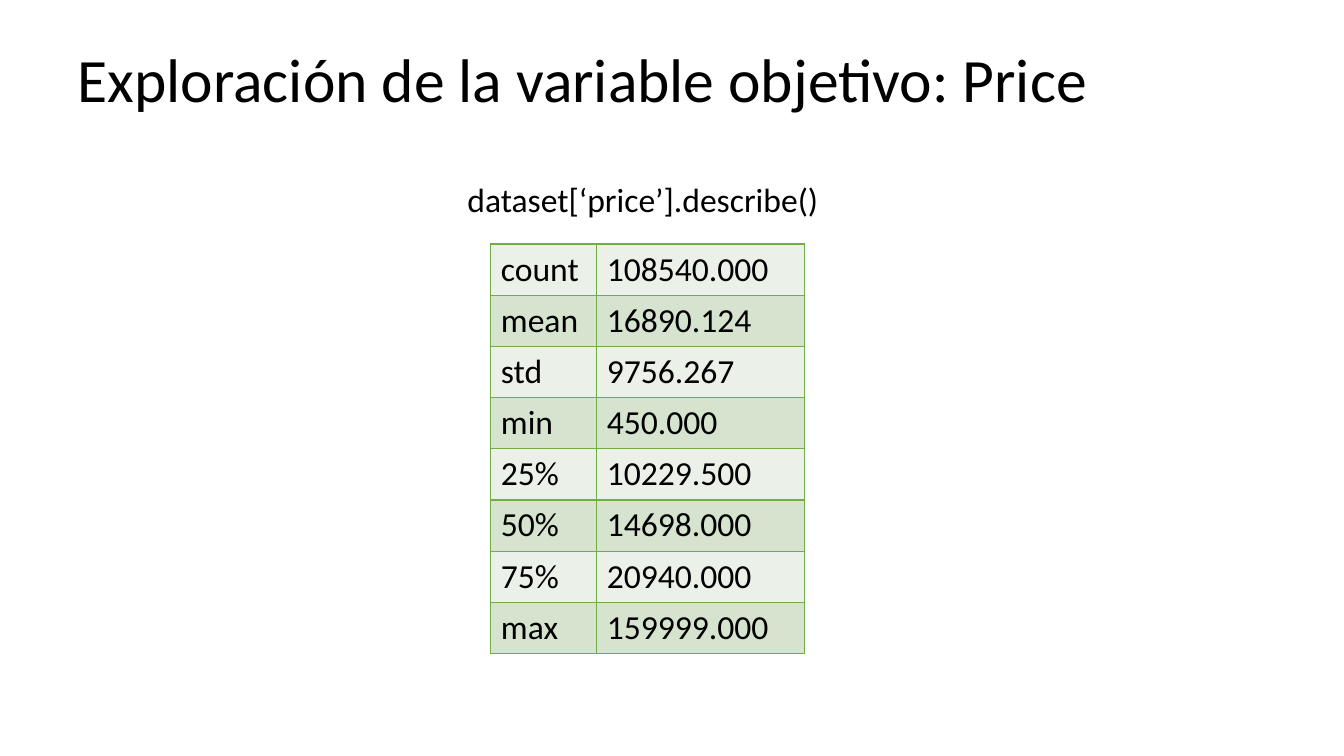
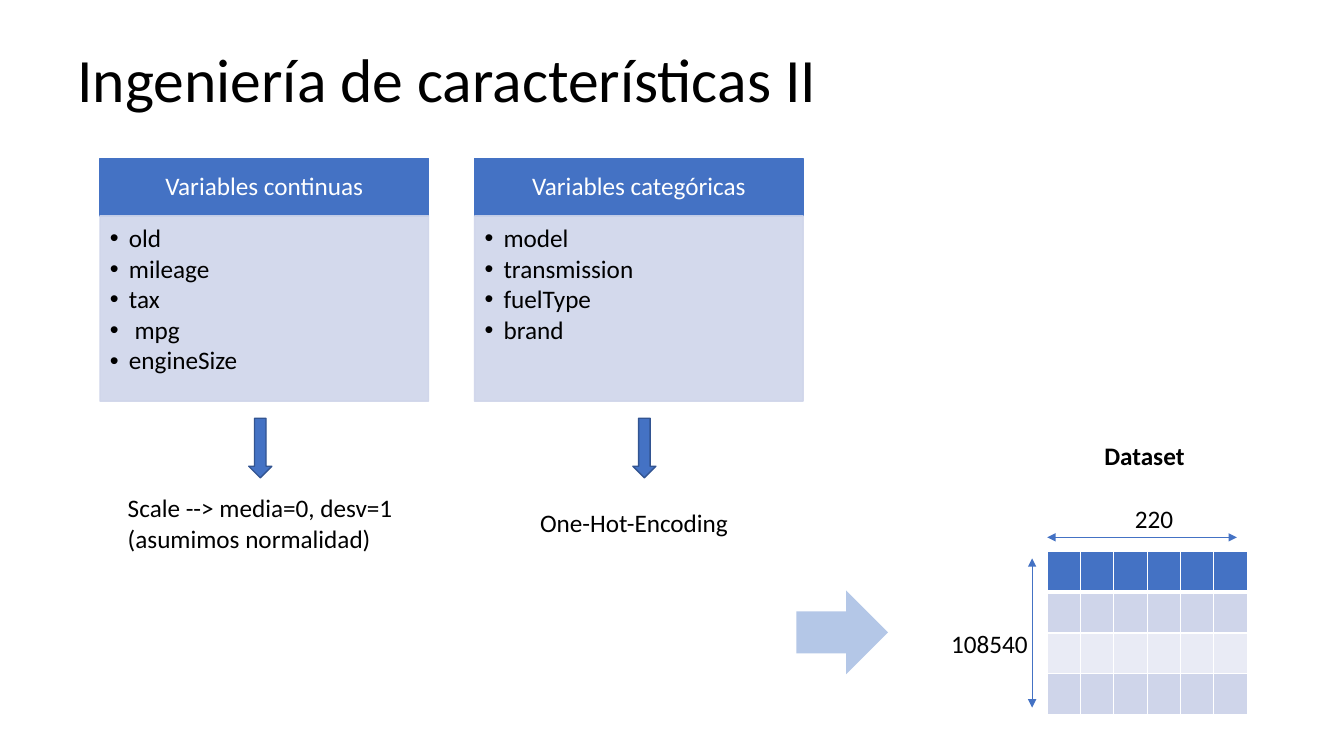
from dataclasses import dataclass

from lxml import etree
from pptx import Presentation
from pptx.dml.color import RGBColor
from pptx.enum.shapes import MSO_CONNECTOR, MSO_SHAPE
from pptx.enum.text import MSO_ANCHOR, MSO_AUTO_SIZE, PP_ALIGN
from pptx.oxml.ns import qn
from pptx.shapes.autoshape import Shape
from pptx.slide import Slide
from pptx.table import Table, _Cell
from pptx.text.text import TextFrame
from pptx.util import Cm, Pt

FONT = "Calibri"
BLACK = RGBColor(0x00, 0x00, 0x00)
WHITE = RGBColor(0xFF, 0xFF, 0xFF)
BLUE = RGBColor(0x44, 0x72, 0xC4)
DARK_BLUE = RGBColor(0x32, 0x54, 0x91)
SOFT_BLUE = RGBColor(0xB4, 0xC7, 0xE7)
PALE_BLUE = RGBColor(0xCF, 0xD5, 0xEA)
FAINT_BLUE = RGBColor(0xE9, 0xEB, 0xF5)
GREEN = RGBColor(0x70, 0xAD, 0x47)
PALE_GREEN = RGBColor(0xD5, 0xE3, 0xCF)
FAINT_GREEN = RGBColor(0xEB, 0xF1, 0xE9)

LEFT, CENTER = PP_ALIGN.LEFT, PP_ALIGN.CENTER
TOP, MIDDLE = MSO_ANCHOR.TOP, MSO_ANCHOR.MIDDLE
FIXED = MSO_AUTO_SIZE.NONE
DOWN_ARROW, RIGHT_ARROW = MSO_SHAPE.DOWN_ARROW, MSO_SHAPE.RIGHT_ARROW
STRAIGHT = MSO_CONNECTOR.STRAIGHT

TITLE_ONLY, COMPARISON = 5, 4
PANEL_TOP, PANEL_WIDTH = 3.99, 8.28
HEADER_HEIGHT, LIST_HEIGHT = 1.45, 4.67


@dataclass(frozen=True)
class Box:
    left: float
    top: float
    width: float
    height: float


@dataclass(frozen=True)
class Label:
    text: str
    box: Box
    size: int = 18
    bold: bool = False


@dataclass(frozen=True)
class VariableGroup:
    heading: str
    variables: tuple[str, ...]
    left: float
    arrow_left: float
    header_idx: int
    list_idx: int


TITLE_BOX = Box(1.7, 0.25, 29.21, 3.68)

PRICE_STATISTICS = (
    ("count", "108540.000"),
    ("mean", "16890.124"),
    ("std", "9756.267"),
    ("min", "450.000"),
    ("25%", "10229.500"),
    ("50%", "14698.000"),
    ("75%", "20940.000"),
    ("max", "159999.000"),
)

VARIABLE_GROUPS = (
    VariableGroup("Variables continuas",
                  ("old", "mileage", "tax", " mpg", "engineSize"),
                  2.52, 6.27, 1, 2),
    VariableGroup("Variables categóricas",
                  ("model", "transmission", "fuelType", "brand"),
                  11.96, 15.95, 3, 4),
)

DESCRIBE_CALL = Label("dataset[‘price’].describe()", Box(11.53, 4.39, 9.53, 1.27), 24)
FEATURE_LABELS = (
    Label("One-Hot-Encoding", Box(13.36, 12.67, 5.79, 1.02)),
    Label("Scale --> media=0, desv=1\n(asumimos normalidad)", Box(2.97, 12.29, 7.5, 1.8)),
    Label("108540", Box(23.72, 15.7, 2.62, 1.02)),
    Label("220", Box(28.35, 12.55, 1.75, 1.02)),
    Label("Dataset", Box(27.58, 10.97, 2.64, 1.07), bold=True),
)


def place(shape: Shape, box: Box) -> None:
    shape.left, shape.top = Cm(box.left), Cm(box.top)
    shape.width, shape.height = Cm(box.width), Cm(box.height)


def write(frame: TextFrame, text: str, size: int, color: RGBColor = BLACK,
          align: PP_ALIGN = LEFT, anchor: MSO_ANCHOR = TOP, bold: bool = False,
          line_spacing: float = 1.0, space_after: float = 0) -> None:
    frame.text = text
    frame.word_wrap = True
    frame.auto_size = FIXED
    frame.vertical_anchor = anchor
    for paragraph in frame.paragraphs:
        paragraph.alignment = align
        paragraph.line_spacing = line_spacing
        paragraph.space_before = Pt(0)
        paragraph.space_after = Pt(space_after)
        font = paragraph.font
        font.name, font.size, font.bold = FONT, Pt(size), bold
        font.color.rgb = color


def paint(shape: Shape, fill: RGBColor, line: RGBColor | None) -> None:
    shape.fill.solid()
    shape.fill.fore_color.rgb = fill
    if line is None:
        shape.line.fill.background()
    else:
        shape.line.color.rgb = line
        shape.line.width = Pt(1)


def start_slide(deck: Presentation, layout: int, title: str) -> Slide:
    slide = deck.slides.add_slide(deck.slide_layouts[layout])
    heading = slide.shapes.title
    place(heading, TITLE_BOX)
    write(heading.text_frame, title, 44, anchor=MIDDLE, line_spacing=0.9)
    return slide


def add_label(slide: Slide, label: Label) -> None:
    box = label.box
    caption = slide.shapes.add_textbox(
        Cm(box.left), Cm(box.top), Cm(box.width), Cm(box.height))
    write(caption.text_frame, label.text, label.size, bold=label.bold)


def add_arrow(slide: Slide, kind: MSO_SHAPE, box: Box,
              fill: RGBColor, line: RGBColor | None) -> None:
    arrow = slide.shapes.add_shape(
        kind, Cm(box.left), Cm(box.top), Cm(box.width), Cm(box.height))
    arrow.shadow.inherit = False
    paint(arrow, fill, line)


def add_dimension(slide: Slide, x1: float, y1: float, x2: float, y2: float) -> None:
    dimension = slide.shapes.add_connector(STRAIGHT, Cm(x1), Cm(y1), Cm(x2), Cm(y2))
    dimension.line.color.rgb = BLUE
    dimension.line.width = Pt(0.5)
    outline = dimension.line._get_or_add_ln()
    for end in ("a:headEnd", "a:tailEnd"):
        etree.SubElement(outline, qn(end), type="triangle")
    etree.SubElement(dimension._element.spPr, qn("a:effectLst"))


def style_cell(cell: _Cell, fill: RGBColor, border: RGBColor,
               top: int = 1, bottom: int = 1) -> None:
    properties = cell._tc.get_or_add_tcPr()
    for side, points in (("L", 1), ("R", 1), ("T", top), ("B", bottom)):
        edge = etree.SubElement(properties, qn(f"a:ln{side}"), w=str(Pt(points)))
        paint_node = etree.SubElement(edge, qn("a:solidFill"))
        etree.SubElement(paint_node, qn("a:srgbClr"), val=str(border))
    cell.fill.solid()
    cell.fill.fore_color.rgb = fill


def add_grid(slide: Slide, left: float, top: float,
             widths: list[float], row_height: float, rows: int) -> Table:
    table = slide.shapes.add_table(
        rows, len(widths), Cm(left), Cm(top),
        Cm(sum(widths)), Cm(row_height * rows)).table
    table.first_row = table.horz_banding = False
    for column, width in zip(table.columns, widths):
        column.width = Cm(width)
    for row in table.rows:
        row.height = Cm(row_height)
    return table


def add_variable_group(slide: Slide, group: VariableGroup) -> None:
    header = slide.placeholders[group.header_idx]
    place(header, Box(group.left, PANEL_TOP, PANEL_WIDTH, HEADER_HEIGHT))
    paint(header, BLUE, BLUE)
    write(header.text_frame, group.heading, 18, WHITE, CENTER, MIDDLE, line_spacing=0.9)

    variables = slide.placeholders[group.list_idx]
    place(variables, Box(group.left, PANEL_TOP + HEADER_HEIGHT, PANEL_WIDTH, LIST_HEIGHT))
    paint(variables, PALE_BLUE, PALE_BLUE)
    for color in variables._element.spPr.iter(qn("a:srgbClr")):
        etree.SubElement(color, qn("a:alpha"), val="90000")
    frame = variables.text_frame
    write(frame, "\n".join(group.variables), 18, line_spacing=0.9, space_after=2.4)
    frame.margin_left = frame.margin_top = Cm(0.25)
    for paragraph in frame.paragraphs:
        properties = paragraph._p.get_or_add_pPr()
        properties.set("marL", str(Cm(0.48)))
        properties.set("indent", str(Cm(-0.48)))
        etree.SubElement(properties, qn("a:buChar"), char="•")
        properties.append(properties.find(qn("a:defRPr")))

    add_arrow(slide, DOWN_ARROW, Box(group.arrow_left, 10.54, 0.58, 1.5), BLUE, DARK_BLUE)


def build_price_slide(deck: Presentation) -> None:
    slide = start_slide(deck, TITLE_ONLY, "Exploración de la variable objetivo: Price")
    table = add_grid(slide, 12.37, 6.15, [2.67, 5.23], 1.29, len(PRICE_STATISTICS))
    for row, statistic in enumerate(PRICE_STATISTICS):
        for column, text in enumerate(statistic):
            cell = table.cell(row, column)
            style_cell(cell, PALE_GREEN if row % 2 else FAINT_GREEN, GREEN)
            cell.text = text
            font = cell.text_frame.paragraphs[0].font
            font.name, font.size = FONT, Pt(24)
            font.color.rgb = BLACK
    add_label(slide, DESCRIBE_CALL)


def build_features_slide(deck: Presentation) -> None:
    slide = start_slide(deck, COMPARISON, "Ingeniería de características II")
    for group in VARIABLE_GROUPS:
        add_variable_group(slide, group)

    row_fills = (BLUE, PALE_BLUE, FAINT_BLUE, PALE_BLUE)
    dataset = add_grid(slide, 26.39, 13.89, [0.84] * 6, 1.03, len(row_fills))
    for row, fill in enumerate(row_fills):
        for cell in dataset.rows[row].cells:
            style_cell(cell, fill, WHITE,
                       top=3 if row == 1 else 1, bottom=3 if row == 0 else 1)

    add_dimension(slide, 26.01, 14.07, 26.01, 17.83)
    add_dimension(slide, 26.39, 13.54, 31.17, 13.54)
    for label in FEATURE_LABELS:
        add_label(slide, label)
    add_arrow(slide, RIGHT_ARROW, Box(20.07, 14.88, 2.31, 2.11), SOFT_BLUE, None)


def main() -> None:
    deck = Presentation()
    deck.slide_width, deck.slide_height = Cm(33.87), Cm(19.05)
    build_price_slide(deck)
    build_features_slide(deck)
    deck.save("out.pptx")


if __name__ == "__main__":
    main()
